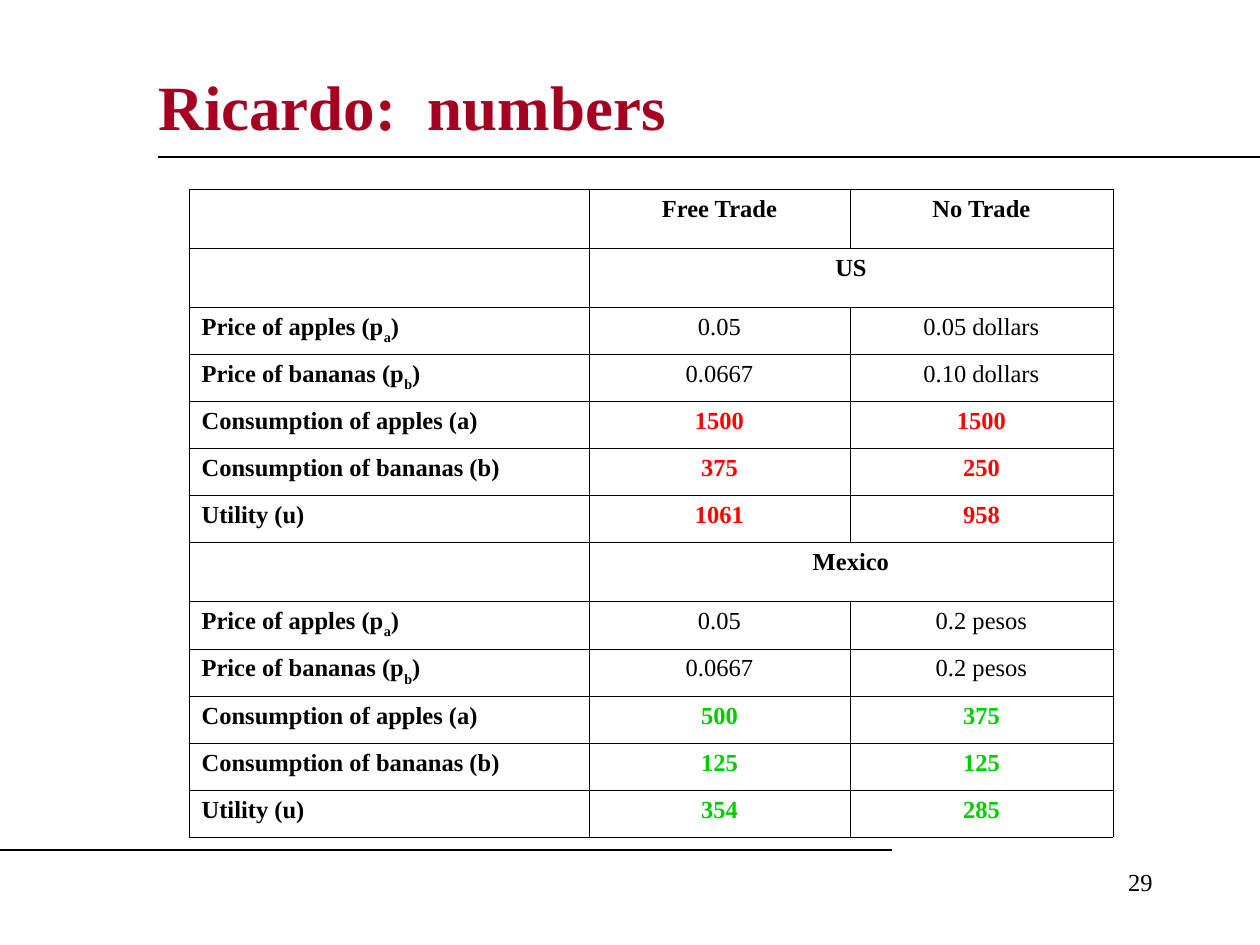
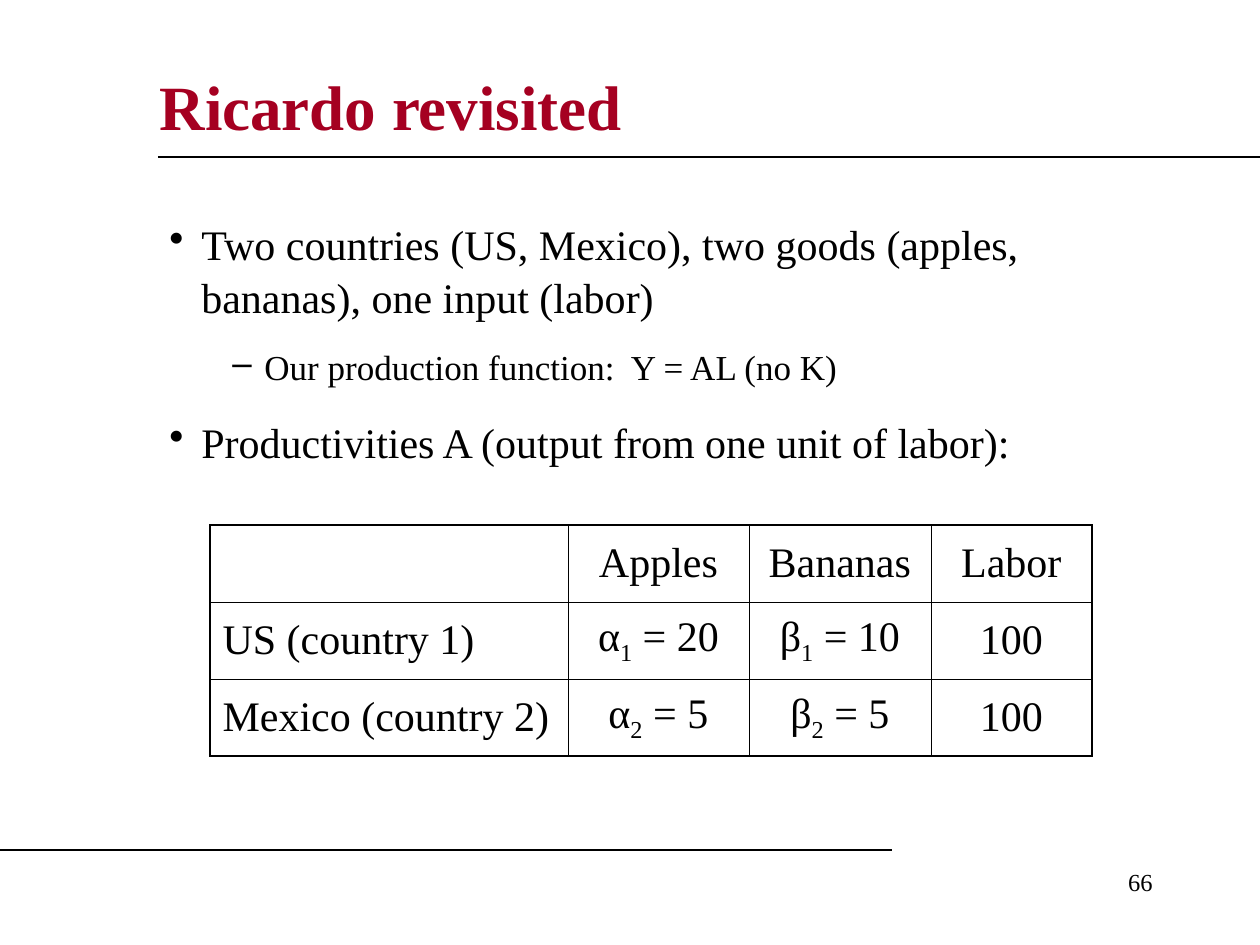
"""Build two slides on the Ricardo trade model."""
from lxml import etree
from pptx import Presentation
from pptx.dml.color import RGBColor
from pptx.enum import shapes, text
from pptx.oxml import ns
from pptx.util import Emu, Pt

PX = 914400 / 126
FACE = "Times New Roman"
HUES = {"ink": "000000", "title": "A50021", "us": "FF0000", "mexico": "00CC00"}
LEFT, MID, RIGHT = text.PP_ALIGN.LEFT, text.PP_ALIGN.CENTER, text.PP_ALIGN.RIGHT
TOP, CORE = text.MSO_ANCHOR.TOP, text.MSO_ANCHOR.MIDDLE
THIN, THICK = 0.45, 1.08
RULES = [(158, 157, 1260, 157), (0, 850, 892, 850)]
FOLIO = (903, 861, 262, 63)

# Subscripts stand between bars.
LABELS = ["Price of apples (p|a|)", "Price of bananas (p|b|)",
          "Consumption of apples (a)", "Consumption of bananas (b)", "Utility (u)"]
LANDS = [
    ("US", "us", [("0.05", "0.05 dollars"), ("0.0667", "0.10 dollars"),
                  ("1500", "1500"), ("375", "250"), ("1061", "958")]),
    ("Mexico", "mexico", [("0.05", "0.2 pesos"), ("0.0667", "0.2 pesos"),
                          ("500", "375"), ("125", "125"), ("354", "285")]),
]
PRICES = 2
POINTS = [
    (0, "Two countries (US, Mexico), two goods (apples, bananas), one input (labor)"),
    (1, "Our production function:  Y = AL (no K)"),
    (0, "Productivities A (output from one unit of labor):"),
]
LEVELS = [{"mark": "•", "size": 24, "gap": 15, "left": 63},
          {"mark": "–", "size": 20, "gap": 12.5, "left": 126}]
HANG = 32
OUTPUT = [
    ["", "Apples", "Bananas", "Labor"],
    ["US (country 1)", "α|1| = 20", "β|1| = 10", "100"],
    ["Mexico (country 2)", "α|2| = 5", "β|2| = 5", "100"],
]


def px(*sizes):
    """Turn px lengths into EMU."""
    return [Emu(round(size * PX)) for size in sizes]


def write(para, words, size, hue="ink", bold=False, align=LEFT, drop=-30):
    """Add runs to a paragraph, lowering those between bars."""
    para.alignment = align
    for k, part in enumerate(words.split("|")):
        if not part:
            continue
        run = para.add_run()
        run.text = part
        font = run.font
        font.name, font.size, font.bold = FACE, Pt(size), bold
        font.color.rgb = RGBColor.from_string(HUES[hue])
        if k % 2:
            run._r.get_or_add_rPr().set("baseline", str(drop * 1000))


def box(slide, place):
    """Add a wrapping text box and return its frame."""
    frame = slide.shapes.add_textbox(*px(*place)).text_frame
    frame.word_wrap = True
    return frame


def start(deck, title, place, folio):
    """Add a slide with its title, rules and number."""
    slide = deck.slides.add_slide(deck.slide_layouts[5])
    head = slide.shapes.title
    head.left, head.top, head.width, head.height = px(*place)
    head.text_frame.vertical_anchor = CORE
    write(head.text_frame.paragraphs[0], title, 36, "title", True)
    for ends in RULES:
        rule = slide.shapes.add_connector(shapes.MSO_CONNECTOR.STRAIGHT, *px(*ends))
        rule.line.color.rgb = RGBColor.from_string(HUES["ink"])
        rule.line.width = Pt(0.75)
        etree.SubElement(rule._element.spPr, ns.qn("a:effectLst"))
    write(box(slide, FOLIO).paragraphs[0], folio, 14, align=RIGHT)
    return slide


def edge(cell, sides):
    """Draw the four borders of a cell, given left, right, top, bottom widths."""
    props = cell._tc.get_or_add_tcPr()
    for k, (side, width) in enumerate(zip("LRTB", sides)):
        line = etree.Element(ns.qn("a:ln" + side), w=str(Pt(width)))
        fill = etree.SubElement(line, ns.qn("a:solidFill"))
        etree.SubElement(fill, ns.qn("a:srgbClr"), val=HUES["ink"])
        props.insert(k, line)


def grid(slide, left, top, cols, rows, rim, anchor):
    """Add an unfilled table with thin inner lines and a given rim."""
    place = px(left, top, sum(cols), sum(rows))
    table = slide.shapes.add_table(len(rows), len(cols), *place).table
    table.first_row = table.horz_banding = False
    for col, wide in zip(table.columns, px(*cols)):
        col.width = wide
    for row, high in zip(table.rows, px(*rows)):
        row.height = high
    for r in range(len(rows)):
        for c in range(len(cols)):
            cell = table.cell(r, c)
            cell.fill.background()
            cell.vertical_anchor = anchor
            outer = (c == 0, c == len(cols) - 1, r == 0, r == len(rows) - 1)
            edge(cell, [rim if out else THIN for out in outer])
    return table


def numbers(deck):
    """Build the slide of prices, consumption and utility."""
    slide = start(deck, "Ricardo:  numbers", (146, 53, 1029, 105), "29")
    block = [59] + [47] * len(LABELS)
    table = grid(slide, 189, 189, [400, 261, 263], [59] + block * len(LANDS), THIN, TOP)

    def put(r, c, words, **look):
        write(table.cell(r, c).text_frame.paragraphs[0], words, 14, **look)

    for c, name in enumerate(["Free Trade", "No Trade"], 1):
        put(0, c, name, bold=True, align=MID)
    for n, (land, hue, pairs) in enumerate(LANDS):
        head = 1 + n * len(block)
        table.cell(head, 1).merge(table.cell(head, 2))
        put(head, 1, land, bold=True, align=MID)
        for k, (label, pair) in enumerate(zip(LABELS, pairs)):
            row, key = head + 1 + k, k >= PRICES
            put(row, 0, label, bold=True)
            for c, value in enumerate(pair, 1):
                put(row, c, value, hue=hue if key else "ink", bold=key, align=MID)


def revisit(deck):
    """Build the slide of assumptions and productivities."""
    slide = start(deck, "Ricardo revisited", (147, 58, 1018, 94), "66")
    frame = box(slide, (126, 210, 1018, 255))
    for k, (depth, words) in enumerate(POINTS):
        level = LEVELS[depth]
        para = frame.add_paragraph() if k else frame.paragraphs[0]
        para.level = depth
        para.line_spacing = 1.05
        if k:
            para.space_before = Pt(level["gap"])
        props = para._p.get_or_add_pPr()
        left, hang = px(level["left"], -HANG)
        props.set("marL", str(left))
        props.set("indent", str(hang))
        etree.SubElement(props, ns.qn("a:buChar"), char=level["mark"])
        write(para, words, level["size"])
    table = grid(slide, 210, 525, [358, 181, 182, 161], [77] * 3, THICK, CORE)
    for r, line in enumerate(OUTPUT):
        for c, words in enumerate(line):
            para = table.cell(r, c).text_frame.paragraphs[0]
            write(para, words, 24, align=MID if c else LEFT, drop=-25)


def main():
    """Build and save the deck."""
    deck = Presentation()
    deck.slide_width, deck.slide_height = px(1260, 945)
    numbers(deck)
    revisit(deck)
    deck.save("out.pptx")


if __name__ == "__main__":
    main()
